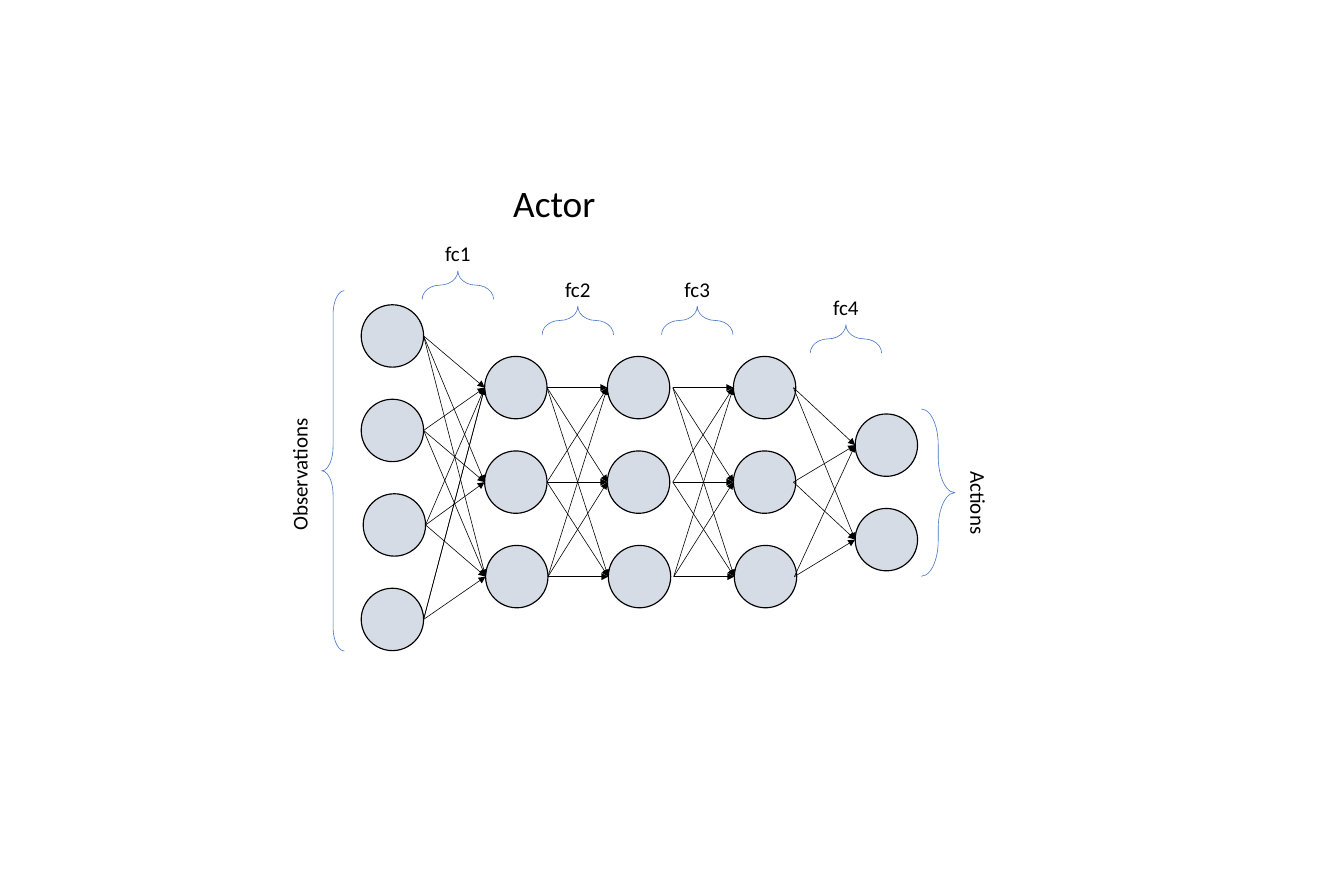
from dataclasses import dataclass
from lxml.etree import SubElement
from pptx import Presentation
from pptx.dml.color import RGBColor
from pptx.enum.shapes import MSO_CONNECTOR, MSO_SHAPE
from pptx.enum.text import MSO_ANCHOR, MSO_AUTO_SIZE, PP_ALIGN
from pptx.oxml.ns import qn
from pptx.util import Pt


@dataclass(frozen=True)
class Theme:
    font: str = "Calibri"
    title_size: float = 32
    label_size: float = 18
    ink: RGBColor = RGBColor(0x00, 0x00, 0x00)
    node: RGBColor = RGBColor(0xD6, 0xDC, 0xE5)
    brace: RGBColor = RGBColor(0x44, 0x72, 0xC4)
    node_line: float = 1
    thin_line: float = 0.5


THEME = Theme()
TITLE = ("Actor", 432.7, 151.2, 85.7, 46)
DIAMETER = 53.5
PITCH = 81
LAYERS = [
    {"left": 309.6, "top": 261.2, "shifts": (0, 0, 1.7, 0), "exit": 0},
    {"left": 415.4, "top": 305.5, "shifts": (0, 0, 0.8), "exit": 0},
    {"left": 520.6, "top": 305.5, "shifts": (0, 0, 0.8), "exit": 2.6},
    {"left": 628.6, "top": 305.5, "shifts": (0, 0, 0.8), "exit": -2},
    {"left": 733, "top": 354.8, "shifts": (0, 0), "exit": 0},
]
SPECIAL_TARGETS = {(0, 3): (0, 0, 2)}
WEIGHTS = [("fc1", 374.4, 203), ("fc2", 477.2, 233.3), ("fc3", 579.6, 233.3), ("fc4", 707, 249.1)]
SIDES = [
    ("Observations", (200.9, 391.7, 111.6, 29), 270, (275.8, 249.1, 19.4, 308.9), 0),
    ("Actions", (804.2, 416.9, 69.1, 29), 90, (789.8, 350.6, 28.8, 143.3), 180),
]


def write(shape, text, size, wrap=False):
    frame = shape.text_frame
    frame.text = text
    frame.word_wrap = wrap
    frame.auto_size = MSO_AUTO_SIZE.SHAPE_TO_FIT_TEXT
    frame.vertical_anchor = MSO_ANCHOR.TOP
    paragraph = frame.paragraphs[0]
    paragraph.alignment = PP_ALIGN.LEFT
    paragraph.line_spacing = 1.0
    paragraph.space_before = Pt(0)
    paragraph.font.name = THEME.font
    paragraph.font.size = Pt(size)
    paragraph.font.color.rgb = THEME.ink


def add_label(text, box, rotation=0, wrap=False):
    label = slide.shapes.add_textbox(*map(Pt, box))
    label.rotation = rotation
    write(label, text, THEME.label_size, wrap)


def add_brace(box, rotation):
    brace = slide.shapes.add_shape(MSO_SHAPE.LEFT_BRACE, *map(Pt, box))
    brace.adjustments[0] = 1.068
    brace.adjustments[1] = 0.5
    brace.rotation = rotation
    brace.shadow.inherit = False
    brace.fill.background()
    brace.line.color.rgb = THEME.brace
    brace.line.width = Pt(THEME.thin_line)


def add_node(left, top):
    node = slide.shapes.add_shape(MSO_SHAPE.OVAL, Pt(left), Pt(top), Pt(DIAMETER), Pt(DIAMETER))
    node.shadow.inherit = False
    node.fill.solid()
    node.fill.fore_color.rgb = THEME.node
    node.line.color.rgb = THEME.ink
    node.line.width = Pt(THEME.node_line)


def add_arrow(start, end):
    arrow = slide.shapes.add_connector(MSO_CONNECTOR.STRAIGHT, *map(Pt, start + end))
    arrow.line.color.rgb = THEME.ink
    arrow.line.width = Pt(THEME.thin_line)
    SubElement(arrow.line._get_or_add_ln(), qn("a:tailEnd"), type="triangle")
    SubElement(arrow._element.spPr, qn("a:effectLst"))


def node_positions(layer):
    return [(layer["left"] + shift, layer["top"] + row * PITCH) for row, shift in enumerate(layer["shifts"])]


presentation = Presentation()
presentation.slide_width = Pt(1152)
presentation.slide_height = Pt(756)
slide = presentation.slides.add_slide(presentation.slide_layouts[5])

text, *title_box = TITLE
title = slide.shapes.title
title.left, title.top, title.width, title.height = map(Pt, title_box)
write(title, text, THEME.title_size)

columns = [node_positions(layer) for layer in LAYERS]
for column in columns:
    for left, top in column:
        add_node(left, top)

for index, (sources, targets) in enumerate(zip(columns, columns[1:])):
    for row, (left, top) in enumerate(sources):
        start = (left + DIAMETER + LAYERS[index]["exit"], top + DIAMETER / 2)
        for target in SPECIAL_TARGETS.get((index, row), range(len(targets))):
            target_left, target_top = targets[target]
            add_arrow(start, (target_left, target_top + DIAMETER / 2))

for text, left, top in WEIGHTS:
    add_label(text, (left, top, 36.7, 29), wrap=True)
    add_brace((left + 5.8, top + 10.8, 24.5, 61.2), 90)

for text, label_box, label_rotation, brace_box, brace_rotation in SIDES:
    add_label(text, label_box, label_rotation)
    add_brace(brace_box, brace_rotation)

presentation.save("out.pptx")
